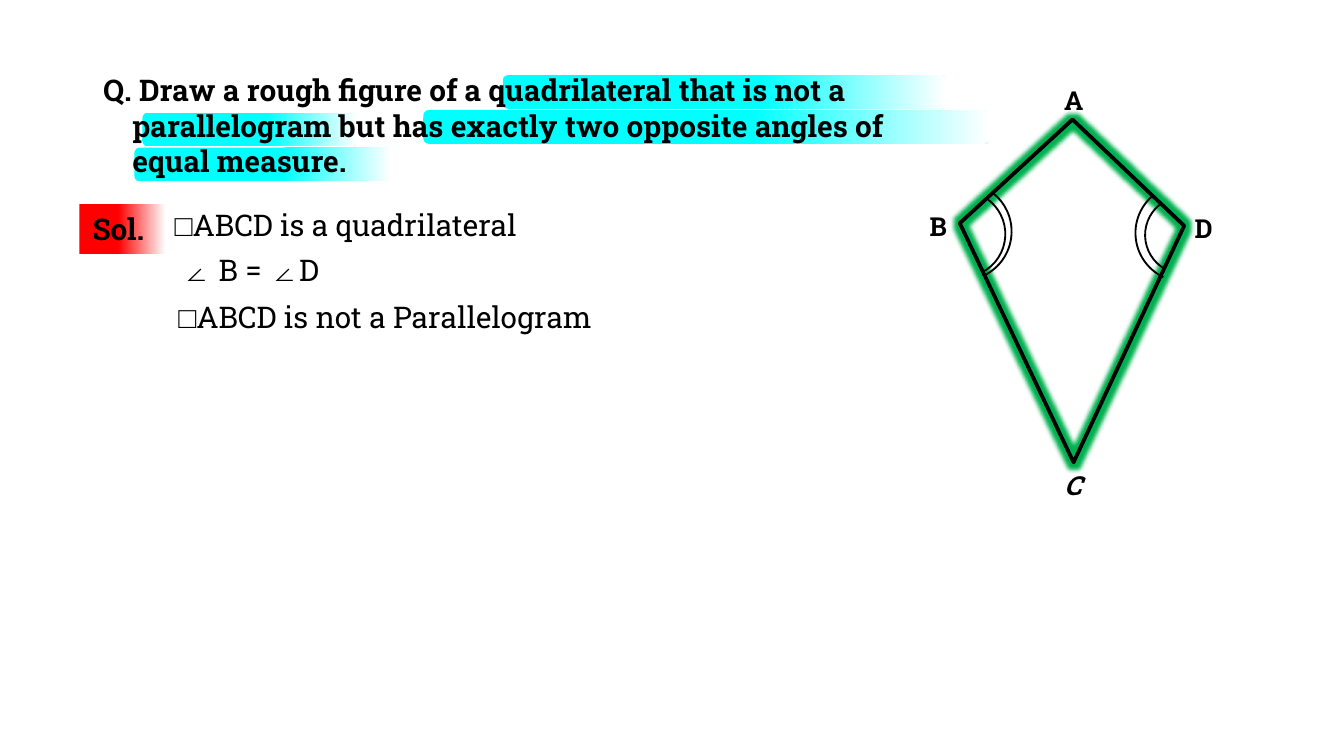
"""Build a slide that answers a question about a kite with equal opposite angles."""
from dataclasses import dataclass

from lxml.etree import SubElement
from pptx import Presentation
from pptx.dml.color import RGBColor
from pptx.enum.shapes import MSO_SHAPE as Preset
from pptx.enum.text import MSO_ANCHOR as Anchor, MSO_AUTO_SIZE as AutoSize, PP_ALIGN as Align
from pptx.oxml.ns import qn
from pptx.util import Cm, Pt

SLAB, ARIAL = "Roboto Slab", "Arial"
BLACK, WHITE, CYAN, RED, GREEN = "000000", "FFFFFF", "00FFFF", "FF0000", "00B050"


@dataclass(frozen=True)
class Fade:
    left: float
    top: float
    width: float
    height: float = 0.64
    preset: Preset = Preset.ROUNDED_RECTANGLE
    tint: str = CYAN
    solid: float = 0.58


@dataclass(frozen=True)
class Label:
    text: str
    left: float
    top: float


@dataclass(frozen=True)
class Statement:
    left: float
    top: float
    width: float
    spans: tuple


@dataclass(frozen=True)
class AngleArc:
    left: float
    top: float
    size: float
    turn: float
    flips: tuple


HIGHLIGHTS = (
    Fade(2.54, 2.79, 4.85),
    Fade(8, 2.08, 10.69),
    Fade(2.69, 2.13, 4.06),
    Fade(9.5, 1.42, 8.38),
)
SOLUTION = Fade(1.5, 3.86, 1.63, 0.94, Preset.RECTANGLE, RED, 0.45)
QUESTION = (
    "Q. Draw a rough figure of a quadrilateral that is not a",
    "parallelogram but has exactly two opposite angles of",
    "equal measure.",
)
KITE = ((18.14, 4.22), (20.27, 2.26), (22.38, 4.27), (20.29, 8.74))
VERTICES = (
    Label("C", 19.86, 8.74),
    Label("D", 22.33, 3.89),
    Label("B", 17.32, 3.84),
    Label("A", 19.86, 1.47),
)
STATEMENTS = (
    Statement(3.05, 3.78, 10.06, (("□", ARIAL), ("ABCD is a quadrilateral", SLAB))),
    Statement(3.18, 4.62, 3.15, (("∠", ARIAL), (" B = ", SLAB), ("∠", ARIAL), ("D", SLAB))),
    Statement(3.12, 5.51, 10.01, (("□", ARIAL), ("ABCD is not a Parallelogram", SLAB))),
)
ARCS = (
    AngleArc(17.27, 3.45, 1.85, 335.1, ("flipV",)),
    AngleArc(17.37, 3.61, 1.63, 333.1, ("flipV",)),
    AngleArc(21.46, 3.48, 1.85, 25.5, ("flipH", "flipV")),
    AngleArc(21.64, 3.71, 1.47, 28.7, ("flipH", "flipV")),
)


def color(value: str) -> RGBColor:
    return RGBColor.from_string(value)


def apply(target, values: dict) -> None:
    for name, value in values.items():
        setattr(target, name, value)


def place(shape, left: float, top: float, width: float, height: float) -> None:
    apply(shape, {"left": Cm(left), "top": Cm(top), "width": Cm(width), "height": Cm(height)})


def format_frame(frame, wrap: bool = True, anchor=Anchor.TOP) -> None:
    apply(frame, {
        "auto_size": AutoSize.NONE, "word_wrap": wrap, "vertical_anchor": anchor,
        "margin_left": Cm(0.25), "margin_right": Cm(0.25),
        "margin_top": Cm(0.13), "margin_bottom": Cm(0.13),
    })


def add_span(para, text: str, font: str = SLAB, size: int = 16, **values) -> None:
    span = para.add_run()
    span.text = text
    apply(span.font, {"name": font, "size": Pt(size), "bold": False} | values)
    span.font.color.rgb = color(BLACK)


def draw_fade(page, fade: Fade):
    shape = page.shapes.add_shape(
        fade.preset, Cm(fade.left), Cm(fade.top), Cm(fade.width), Cm(fade.height))
    shape.shadow.inherit = False
    shape.line.fill.background()
    shape.fill.gradient()
    shape.fill.gradient_angle = 0
    stops = zip(shape.fill.gradient_stops, (fade.solid, 1), (fade.tint, WHITE))
    for stop, position, tint in stops:
        stop.position = position
        stop.color.rgb = color(tint)
    return shape


def draw_question(page) -> None:
    title = page.shapes.title
    place(title, 1.7, 1.22, 16.89, 2.39)
    page.shapes._spTree.append(title._element)
    frame = title.text_frame
    format_frame(frame)
    for index, text in enumerate(QUESTION):
        para = frame.add_paragraph() if index else frame.paragraphs[0]
        para.alignment = Align.LEFT
        para._p.get_or_add_pPr().set("marL", str(Cm(0.55) if index else 0))
        add_span(para, text, bold=True)


def outline(shape, weight: float) -> None:
    shape.shadow.inherit = False
    shape.fill.background()
    shape.line.color.rgb = color(BLACK)
    shape.line.width = Pt(weight)


def draw_kite(page, weight: float):
    points = [(Cm(x), Cm(y)) for x, y in KITE]
    builder = page.shapes.build_freeform(*points[0])
    builder.add_line_segments(points[1:], close=True)
    kite = builder.convert_to_shape()
    outline(kite, weight)
    return kite


def add_glow(shape, tint: str, radius: float) -> None:
    effects = shape._element.spPr.find(qn("a:effectLst"))
    glow = SubElement(effects, qn("a:glow"), rad=str(Pt(radius)))
    SubElement(glow, qn("a:srgbClr"), val=tint)


def draw_label(page, label: Label) -> None:
    box = page.shapes.add_textbox(Cm(label.left), Cm(label.top), Cm(0.89), Cm(0.86))
    format_frame(box.text_frame, wrap=False)
    add_span(box.text_frame.paragraphs[0], label.text, size=14, bold=True,
             italic=label.text == "C")


def draw_statement(page, item: Statement) -> None:
    box = page.shapes.add_textbox(Cm(item.left), Cm(item.top), Cm(item.width), Cm(0.94))
    format_frame(box.text_frame)
    for text, font in item.spans:
        add_span(box.text_frame.paragraphs[0], text, font)


def draw_arc(page, arc: AngleArc) -> None:
    shape = page.shapes.add_shape(
        Preset.ARC, Cm(arc.left), Cm(arc.top), Cm(arc.size), Cm(arc.size))
    shape.adjustments[0], shape.adjustments[1] = 162, 15.57
    shape.rotation = arc.turn
    for flip in arc.flips:
        shape._element.spPr.find(qn("a:xfrm")).set(flip, "1")
    outline(shape, 1)


def main() -> None:
    deck = Presentation()
    apply(deck, {"slide_width": Cm(25.4), "slide_height": Cm(14.29)})
    page = deck.slides.add_slide(deck.slide_layouts[5])
    for fade in HIGHLIGHTS:
        draw_fade(page, fade)
    draw_question(page)
    badge = draw_fade(page, SOLUTION)
    format_frame(badge.text_frame, wrap=False, anchor=Anchor.MIDDLE)
    badge.text_frame.paragraphs[0].alignment = Align.LEFT
    add_span(badge.text_frame.paragraphs[0], "Sol.", bold=True)
    add_glow(draw_kite(page, 2), GREEN, 5)
    for label in VERTICES:
        draw_label(page, label)
    draw_kite(page, 1.5)
    for arc in ARCS:
        draw_arc(page, arc)
    for item in STATEMENTS:
        draw_statement(page, item)
    deck.save("out.pptx")


if __name__ == "__main__":
    main()
